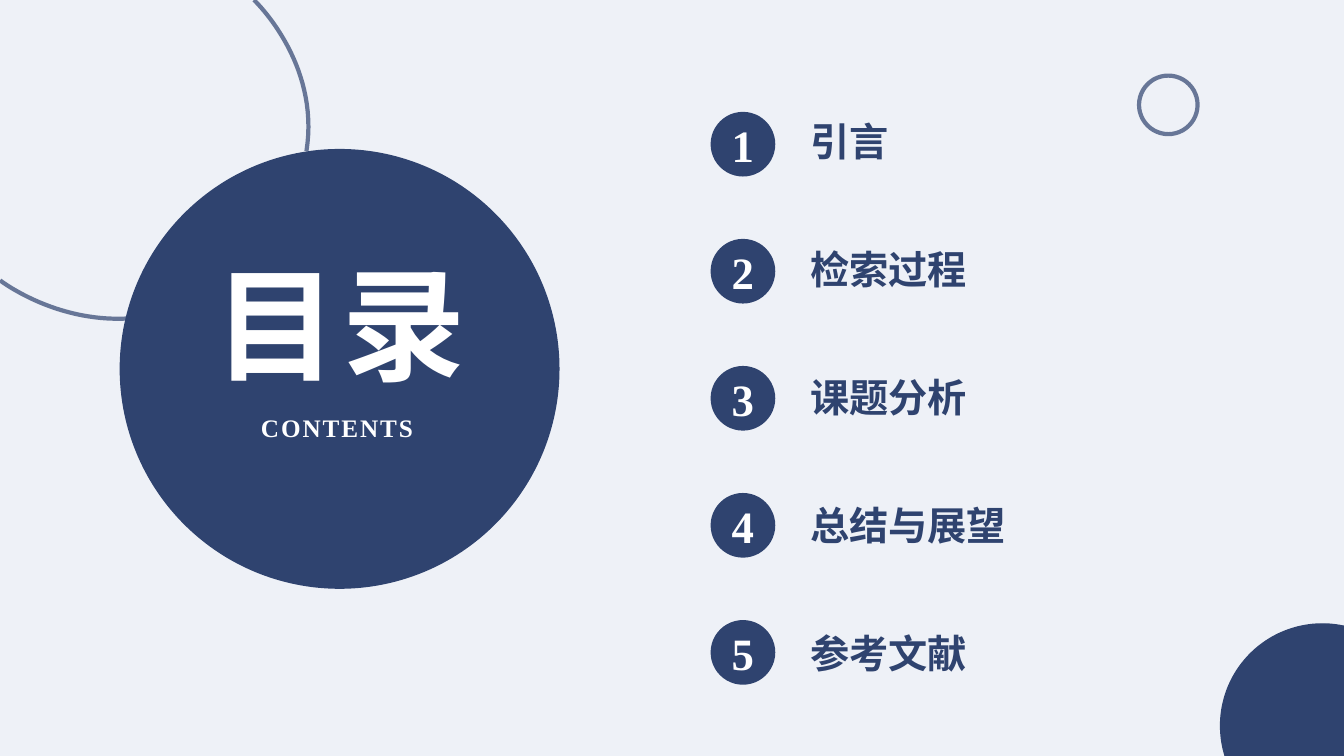
from math import cos, radians, sin

from lxml import etree
from pptx import Presentation
from pptx.dml.color import RGBColor
from pptx.enum.shapes import MSO_SHAPE
from pptx.enum.text import MSO_ANCHOR, MSO_AUTO_SIZE, PP_ALIGN
from pptx.oxml.ns import qn
from pptx.util import Pt

OVAL = MSO_SHAPE.OVAL
CENTER, LEFT = PP_ALIGN.CENTER, PP_ALIGN.LEFT
TOP, MIDDLE = MSO_ANCHOR.TOP, MSO_ANCHOR.MIDDLE
NO_FIT = MSO_AUTO_SIZE.NONE

# Content
TITLE, SUBTITLE = "目录", "CONTENTS"
ITEMS = ["引言", "检索过程", "课题分析", "总结与展望", "参考文献"]

# Style
NAVY, PALE, WHITE = "2F436F", "EEF1F7", "FFFFFF"
CJK_FONT, LATIN_FONT = "Noto Sans CJK SC", "Times New Roman"
WIDTH, HEIGHT = 960, 540

# Geometry in points
TITLE_BOX = (139.7, 185.8, 205.9, 94.3)
SUBTITLE_BOX = (179.3, 290.9, 128.9, 28.8)
TITLE_DISC = (85.5, 106.4, 314.2, 314.2)
RING = (813.6, 54, 41.8, 41.8)
CORNER_CENTER, CORNER_RADIUS, CORNER_ANGLES = (944.6, 518.4), 72.7, (162.7, 282.2)
# Start, two control points, end
ARCS = [
    [(181.4, 0), (181.4, 0), (229, 44.6), (218.9, 108)],
    [(0, 200.2), (0, 200.2), (38.9, 230.4), (91.4, 227.5)],
]
BADGE_LEFT, BADGE_TOP, BADGE_SIZE, BADGE_STEP = 507.6, 79.9, 46.2, 90.75
LABEL_LEFT, LABEL_TOP, LABEL_HEIGHT, LABEL_STEP = 571.7, 79.9, 41, 91.45
LABEL_SIZE, INSET = 28, 7.2


def color(value):
    return RGBColor.from_string(value)


def paint(shape, fill=None, line_width=None, opacity=None):
    shape.shadow.inherit = False
    if fill:
        shape.fill.solid()
        shape.fill.fore_color.rgb = color(fill)
    else:
        shape.fill.background()
    if line_width is None:
        shape.line.fill.background()
        return
    shape.line.width = Pt(line_width)
    shape.line.color.rgb = color(NAVY)
    if opacity:
        line_color = shape.line._ln.find(".//" + qn("a:srgbClr"))
        etree.SubElement(line_color, qn("a:alpha"), val=str(opacity * 1000))


def add_oval(box, **style):
    shape = slide.shapes.add_shape(OVAL, *map(Pt, box))
    paint(shape, **style)
    return shape


def add_outline(points, close, **style):
    builder = slide.shapes.build_freeform(Pt(points[0][0]), Pt(points[0][1]))
    builder.add_line_segments([(Pt(x), Pt(y)) for x, y in points[1:]], close=close)
    paint(builder.convert_to_shape(), **style)


def curve_points(controls, steps=32):
    points = []
    for step in range(steps + 1):
        t = step / steps
        weights = ((1 - t) ** 3, 3 * t * (1 - t) ** 2, 3 * t * t * (1 - t), t ** 3)
        points.append(tuple(sum(w * point[axis] for w, point in zip(weights, controls))
                            for axis in (0, 1)))
    return points


def write(shape, text, size, font_name, font_color, align=LEFT, anchor=TOP,
          wrap=True, spacing=0):
    frame = shape.text_frame
    frame.text = text
    frame.word_wrap = wrap
    frame.auto_size = NO_FIT
    frame.vertical_anchor = anchor
    paragraph = frame.paragraphs[0]
    paragraph.alignment = align
    font = paragraph.font
    font.size, font.bold, font.name = Pt(size), True, font_name
    font.color.rgb = color(font_color)
    # East Asian typeface and letter spacing
    properties = font._rPr
    etree.SubElement(properties, qn("a:ea"), typeface=font_name)
    if spacing:
        properties.set("spc", str(round(spacing * 100)))
    return paragraph


presentation = Presentation()
presentation.slide_width, presentation.slide_height = Pt(WIDTH), Pt(HEIGHT)
slide = presentation.slides.add_slide(presentation.slide_layouts[5])
slide.background.fill.solid()
slide.background.fill.fore_color.rgb = color(PALE)

# Decoration
add_oval(RING, line_width=3, opacity=70)
start, end = CORNER_ANGLES
corner = []
for step in range(61):
    angle = radians(start + (end - start) * step / 60)
    corner.append((CORNER_CENTER[0] + CORNER_RADIUS * cos(angle),
                   CORNER_CENTER[1] + CORNER_RADIUS * sin(angle)))
add_outline(corner + [(WIDTH, HEIGHT)], True, fill=NAVY, line_width=1)
add_oval(TITLE_DISC, fill=NAVY)
for arc in ARCS:
    add_outline(curve_points(arc), False, line_width=3, opacity=70)

# Title, brought in front of its disc
title = slide.shapes.title
title.left, title.top, title.width, title.height = map(Pt, TITLE_BOX)
slide.shapes._spTree.append(title._element)
heading = write(title, TITLE, 88, CJK_FONT, WHITE, align=CENTER, spacing=3.6)
heading.line_spacing = 0.9
subtitle = slide.shapes.add_textbox(*map(Pt, SUBTITLE_BOX))
write(subtitle, SUBTITLE, 18, LATIN_FONT, WHITE, spacing=1.4)

# Numbered items
for index, item in enumerate(ITEMS):
    badge = add_oval((BADGE_LEFT, BADGE_TOP + index * BADGE_STEP, BADGE_SIZE, BADGE_SIZE),
                     fill=NAVY)
    write(badge, str(index + 1), 32, LATIN_FONT, WHITE, align=CENTER, anchor=MIDDLE)
    label = slide.shapes.add_textbox(
        Pt(LABEL_LEFT), Pt(LABEL_TOP + index * LABEL_STEP),
        Pt(len(item) * LABEL_SIZE + 2 * INSET), Pt(LABEL_HEIGHT))
    write(label, item, LABEL_SIZE, CJK_FONT, NAVY, wrap=False)

presentation.save("out.pptx")
